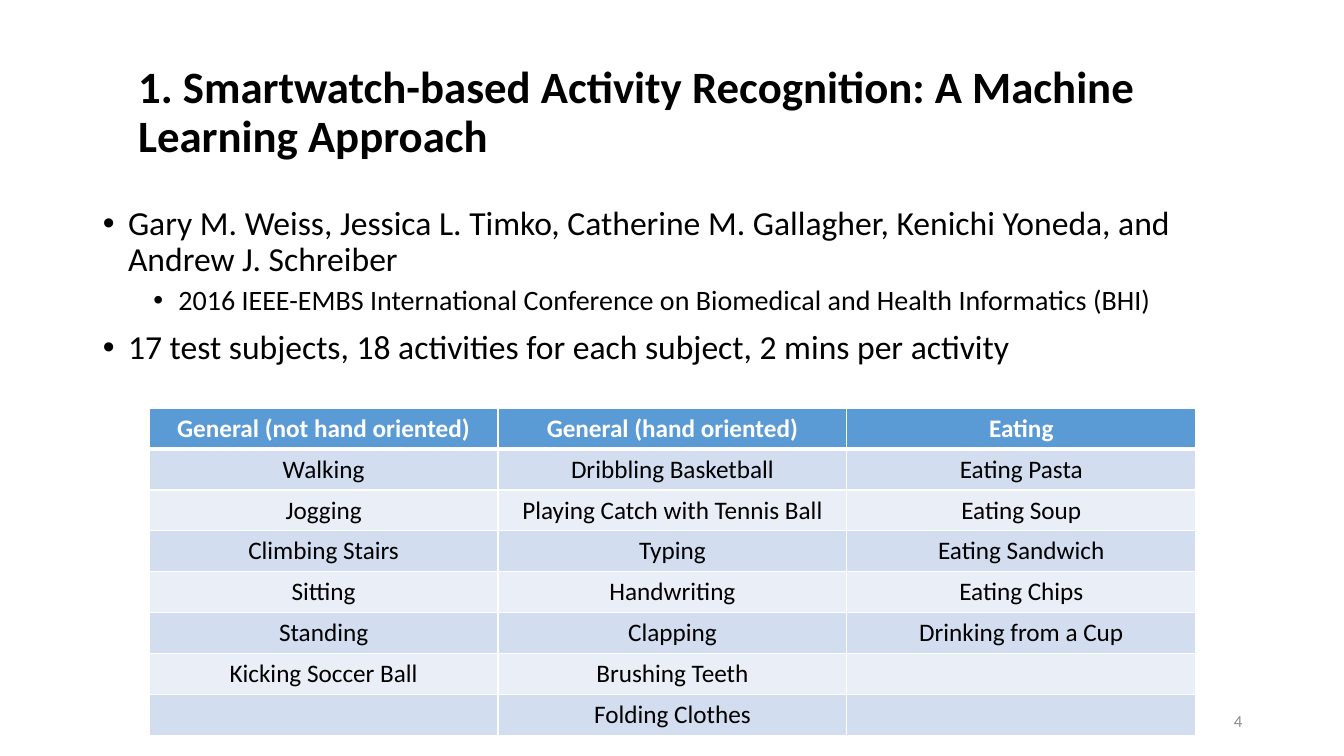
from lxml.etree import SubElement
from pptx import Presentation
from pptx.dml.color import RGBColor
from pptx.enum.text import MSO_ANCHOR as Anchor, MSO_AUTO_SIZE as AutoSize, PP_ALIGN as Align
from pptx.oxml.ns import qn
from pptx.util import Inches, Pt

COLORS = {
    "text": "000000",
    "number": "8C8C8C",
    "white": "FFFFFF",
    "header": "5B9BD5",
    "odd": "D2DEEF",
    "even": "EAEFF7",
}
FONT = "Calibri"

TITLE = "1. Smartwatch-based Activity Recognition: A Machine Learning Approach"
BULLETS = [
    (0, "Gary M. Weiss, Jessica L. Timko, Catherine M. Gallagher, Kenichi Yoneda, and Andrew J. Schreiber"),
    (1, "2016 IEEE-EMBS International Conference on Biomedical and Health Informatics (BHI)"),
    (0, "17 test subjects, 18 activities for each subject, 2 mins per activity"),
]
ACTIVITIES = [
    ("General (not hand oriented)", "General (hand oriented)", "Eating"),
    ("Walking", "Dribbling Basketball", "Eating Pasta"),
    ("Jogging", "Playing Catch with Tennis Ball", "Eating Soup"),
    ("Climbing Stairs", "Typing", "Eating Sandwich"),
    ("Sitting", "Handwriting", "Eating Chips"),
    ("Standing", "Clapping", "Drinking from a Cup"),
    ("Kicking Soccer Ball", "Brushing Teeth", ""),
    ("", "Folding Clothes", ""),
]


def color(name):
    return RGBColor.from_string(COLORS[name])


def write(para, text, size, fill="text", bold=False, align=Align.LEFT, line=None, before=0):
    para.alignment = align
    para.space_before = Pt(before)
    if line:
        para.line_spacing = line
    span = para.add_run()
    span.text = text
    span.font.name = FONT
    span.font.size = Pt(size)
    span.font.bold = bold
    span.font.color.rgb = color(fill)


def place(shape, box):
    shape.left, shape.top, shape.width, shape.height = map(Inches, box)


def add_title(page, box):
    title = page.shapes.title
    place(title, box)
    frame = title.text_frame
    frame.auto_size = AutoSize.NONE
    frame.vertical_anchor = Anchor.MIDDLE
    write(frame.paragraphs[0], TITLE, 32, bold=True, line=0.9)


def set_bullet(para, level):
    para.level = level
    props = para._p.get_or_add_pPr()
    props.set("marL", str(Inches(0.25 + 0.5 * level)))
    props.set("indent", str(Inches(-0.25)))
    SubElement(props, qn("a:buFont"), typeface="Arial")
    SubElement(props, qn("a:buChar"), char="•")


def add_bullets(page, box):
    body = page.placeholders[1]
    place(body, box)
    frame = body.text_frame
    frame.auto_size = AutoSize.NONE
    for index, (level, text) in enumerate(BULLETS):
        para = frame.add_paragraph() if index else frame.paragraphs[0]
        write(para, text, 24 - 4 * level, line=0.9, before=10 - 5 * level)
        set_bullet(para, level)


def set_borders(cell, widths):
    props = cell._tc.get_or_add_tcPr()
    for index, (side, width) in enumerate(widths.items()):
        line = SubElement(props, qn(f"a:ln{side}"), w=str(Pt(width)))
        fill = SubElement(line, qn("a:solidFill"))
        SubElement(fill, qn("a:srgbClr"), val=COLORS["white"])
        props.insert(index, line)  # borders come before the fill


def add_activities(page, box):
    rows, columns = len(ACTIVITIES), len(ACTIVITIES[0])
    table = page.shapes.add_table(rows, columns, *map(Inches, box)).table
    for row, names in enumerate(ACTIVITIES):
        header = row == 0
        band = "header" if header else "odd" if row % 2 else "even"
        for column, name in enumerate(names):
            cell = table.cell(row, column)
            cell.fill.solid()
            cell.fill.fore_color.rgb = color(band)
            set_borders(cell, {"L": 1, "R": 1, "T": 3 if row == 1 else 1, "B": 3 if header else 1})
            if name:
                write(cell.text_frame.paragraphs[0], name, 18, bold=header,
                      fill="white" if header else "text", align=Align.CENTER)


def add_page_number(page, box):
    frame = page.shapes.add_textbox(*map(Inches, box)).text_frame
    frame.word_wrap = True
    frame.vertical_anchor = Anchor.MIDDLE
    write(frame.paragraphs[0], "4", 12, fill="number", align=Align.RIGHT)


def main():
    deck = Presentation()
    deck.slide_width, deck.slide_height = Inches(13.33), Inches(7.5)
    page = deck.slides.add_slide(deck.slide_layouts[1])
    add_title(page, (1.27, 0.4, 10.79, 1.45))
    add_bullets(page, (0.92, 2, 11.5, 2.39))
    add_activities(page, (1.48, 4.05, 10.38, 3.24))
    add_page_number(page, (9.42, 6.95, 3, 0.4))
    deck.save("out.pptx")


if __name__ == "__main__":
    main()
